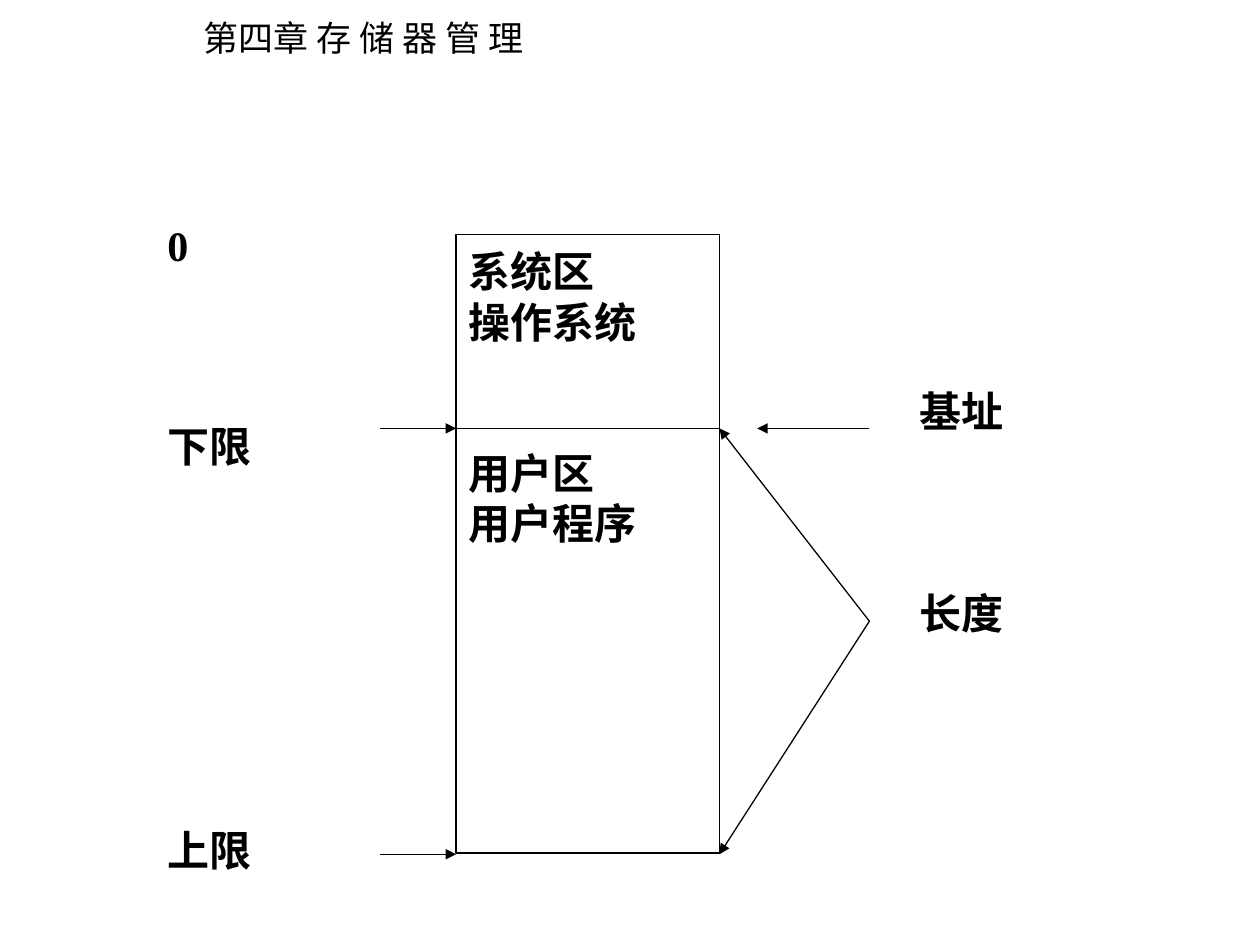
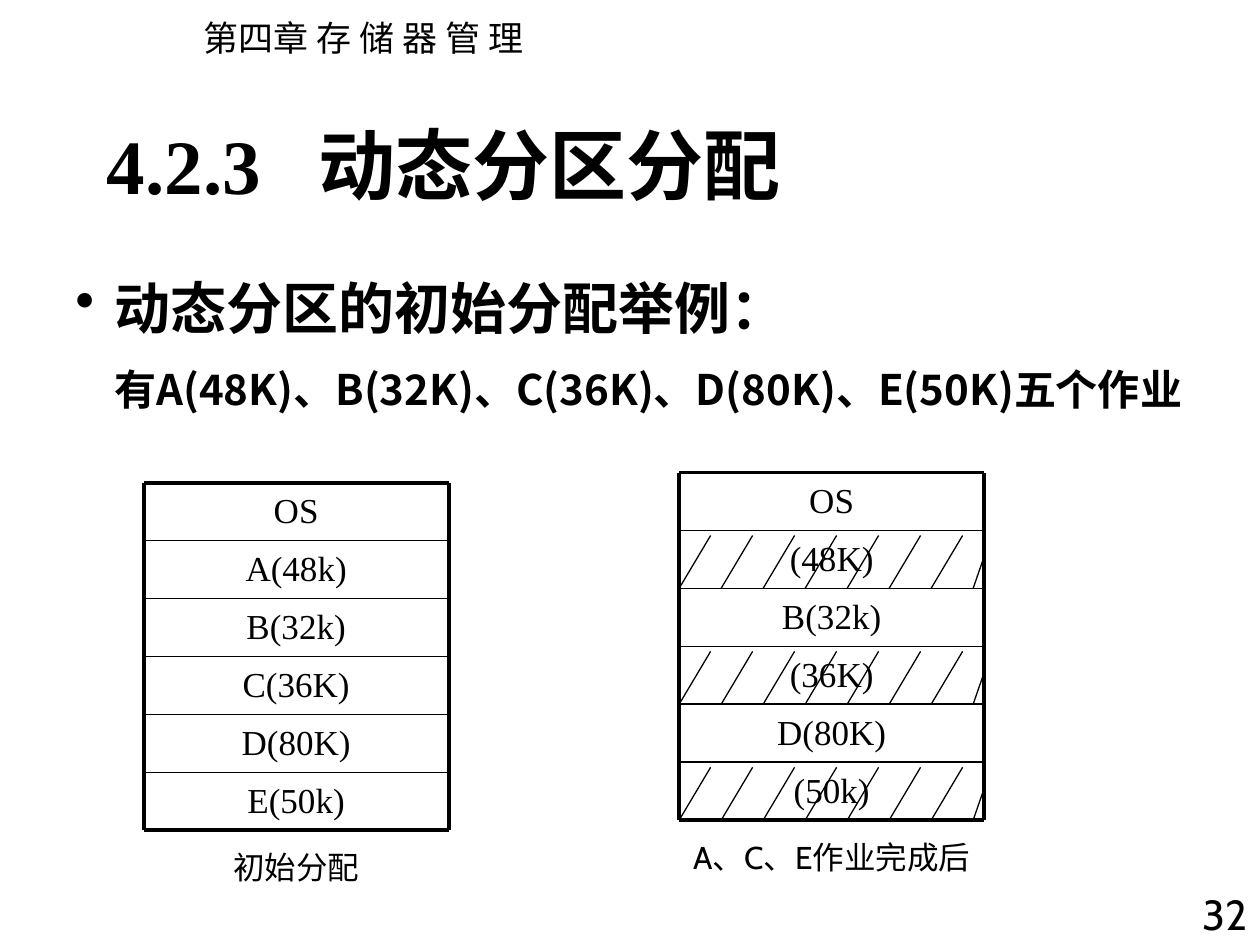
"""Build two slides on memory partitions: limit registers and dynamic allocation."""
from dataclasses import dataclass
from typing import Optional

from lxml import etree
from pptx import Presentation
from pptx import util as u
from pptx.dml.color import RGBColor
from pptx.enum import shapes, text
from pptx.oxml import ns

COLORS = {"ink": "000000", "paper": "FFFFFF"}
SERIF, SANS, CJK = "Times New Roman", "Cabin", "Noto Sans CJK SC"
LEFT, CENTER = text.PP_ALIGN.LEFT, text.PP_ALIGN.CENTER
RIGHT, JUSTIFY = text.PP_ALIGN.RIGHT, text.PP_ALIGN.JUSTIFY
ROW_HEIGHT, MAP_WIDTH = 0.46, 2.42
LABEL_LINE = 28.8


@dataclass(frozen=True)
class Style:
    """Look of a paragraph."""
    size: float
    font: str
    bold: bool = False
    align: text.PP_ALIGN = LEFT
    spacing: float = 1.2


@dataclass(frozen=True)
class Line:
    """One paragraph with its gap, bullet, indent and tab stop."""
    words: str
    before: float = 0
    bullet: Optional[str] = None
    indent: float = 0
    tab: float = 0


@dataclass(frozen=True)
class Box:
    """Place of a text area in inches."""
    left: float
    top: float
    width: float
    height: float
    inset_top: float = 0.05


@dataclass(frozen=True)
class MemoryMap:
    """Column of memory blocks with a caption; free rows are hatched."""
    left: float
    top: float
    blocks: tuple[str, ...]
    caption: str
    caption_height: float
    free_rows: tuple[int, ...] = ()


HEADER = Style(20, CJK)
TITLE = Style(44, SERIF, bold=True)
BULLET = Style(32, CJK, bold=True, spacing=1.25)
DETAIL = Style(24, CJK, bold=True, spacing=1.25)
NUMBER = Style(24, SANS, align=RIGHT)
LABEL = Style(24, SERIF, bold=True, align=JUSTIFY)
BLOCK = Style(20, SERIF, align=CENTER)
CAPTION = Style(18, SANS, align=CENTER)

MEMORY_MAPS = (
    MemoryMap(1.14, 3.83, ("OS", "A(48k)", "B(32k)", "C(36K)", "D(80K)", "E(50k)"),
              "初始分配", 0.4),
    MemoryMap(5.39, 3.75, ("OS", "(48K)", "B(32k)", "(36K)", "D(80K)", "(50k)"),
              "A、C、E作业完成后", 0.7, (1, 3, 5)),
)


def rgb(name: str) -> RGBColor:
    """Look up a named colour."""
    return RGBColor.from_string(COLORS[name])


def write_line(paragraph, line: Line, style: Style) -> None:
    """Fill a paragraph and format it."""
    paragraph.text = line.words
    properties = paragraph._p.get_or_add_pPr()
    if line.indent:
        properties.set("marL", str(u.Inches(line.indent)))
        properties.set("indent", str(u.Inches(-line.indent if line.bullet else 0)))
    if line.bullet:
        etree.SubElement(properties, ns.qn("a:buChar"), char=line.bullet)
    if line.tab:
        stops = etree.SubElement(properties, ns.qn("a:tabLst"))
        etree.SubElement(stops, ns.qn("a:tab"), pos=str(u.Inches(line.tab)), algn="l")
    paragraph.alignment = style.align
    paragraph.line_spacing = u.Pt(style.size * style.spacing)
    if line.before:
        paragraph.space_before = u.Pt(line.before)
    font = paragraph.font
    font.size, font.bold, font.name = u.Pt(style.size), style.bold, style.font
    font.color.rgb = rgb("ink")


def write_lines(shape, box: Box, lines: list[tuple[Line, Style]],
                wrap: bool = True, anchor=text.MSO_ANCHOR.TOP) -> None:
    """Put paragraphs into a shape."""
    frame = shape.text_frame
    frame.word_wrap, frame.vertical_anchor = wrap, anchor
    frame.margin_top = u.Inches(box.inset_top)
    for index, (line, style) in enumerate(lines):
        paragraph = frame.add_paragraph() if index else frame.paragraphs[0]
        write_line(paragraph, line, style)


def place(box: Box) -> tuple[int, int, int, int]:
    """Convert a box to lengths."""
    return (u.Inches(box.left), u.Inches(box.top),
            u.Inches(box.width), u.Inches(box.height))


def add_text(slide, box: Box, *lines: tuple[Line, Style], **options) -> None:
    """Add a text box."""
    write_lines(slide.shapes.add_textbox(*place(box)), box, list(lines), **options)


def add_panel(slide, box: Box, outline: str, *lines: Line) -> None:
    """Add a white rectangle holding label lines."""
    shape = slide.shapes.add_shape(shapes.MSO_SHAPE.RECTANGLE, *place(box))
    shape.shadow.inherit = False
    shape.fill.solid()
    shape.fill.fore_color.rgb = rgb("paper")
    shape.line.color.rgb = rgb(outline)
    shape.line.width = u.Pt(0.75)
    write_lines(shape, box, [(line, LABEL) for line in lines])


def add_line(slide, start: tuple[float, float], end: tuple[float, float],
             width: float = 0.75, arrow: bool = False) -> None:
    """Add a straight line, with an arrowhead at its end if wanted."""
    connector = slide.shapes.add_connector(
        shapes.MSO_CONNECTOR.STRAIGHT, *map(u.Inches, (*start, *end)))
    connector.line.color.rgb = rgb("ink")
    connector.line.width = u.Pt(width)
    if arrow:
        etree.SubElement(connector.line._get_or_add_ln(), ns.qn("a:tailEnd"), type="triangle")
    etree.SubElement(connector._element.spPr, ns.qn("a:effectLst"))


def add_slide(presentation):
    """Add a blank slide with the chapter header."""
    slide = presentation.slides.add_slide(presentation.slide_layouts[6])
    add_text(slide, Box(1.52, 0.08, 2.8, 0.44), (Line("第四章 存 储 器 管 理"), HEADER), wrap=False)
    return slide


def add_hatching(slide, left: float, top: float) -> None:
    """Hatch one free row, clipping the last stroke at the right edge."""
    bottom = top + ROW_HEIGHT
    for index in range(7):
        foot = left + index / 3
        add_line(slide, (foot + 0.25, top + 0.04), (foot, bottom))
    add_line(slide, (left + MAP_WIDTH, bottom - 0.25), (left + 7 / 3, bottom))


def add_memory_map(slide, memory: MemoryMap) -> None:
    """Draw a column of blocks, its rules, caption and hatching."""
    left, right = memory.left, memory.left + MAP_WIDTH
    count = len(memory.blocks)
    edges = [memory.top + row * ROW_HEIGHT for row in range(count + 1)]
    bottom = edges[-1]
    for block, top in zip(memory.blocks, edges):
        add_text(slide, Box(left, top, MAP_WIDTH, ROW_HEIGHT), (Line(block), BLOCK))
    for row, edge in enumerate(edges):
        add_line(slide, (left, edge), (right, edge), 2.25 if row in (0, count) else 1)
    for side in (left, right):
        add_line(slide, (side, memory.top), (side, bottom), 2.25)
    add_text(slide, Box(left, bottom + 0.09, MAP_WIDTH, memory.caption_height),
             (Line(memory.caption), CAPTION))
    for row in memory.free_rows:
        add_hatching(slide, left, edges[row])


def build_limits_slide(presentation) -> None:
    """Show memory areas with their limits, base and length."""
    slide = add_slide(presentation)
    left, right, boundary, bottom = 3.62, 5.71, 3.4, 6.78
    length_point = (6.9, 4.93)
    add_panel(slide, Box(left, 1.86, right - left, 4.91, 0.09), "ink",
              Line("系统区"), Line("操作系统"),
              Line("用户区", 2 * LABEL_LINE), Line("用户程序"))
    add_line(slide, (left, boundary), (right, boundary))
    add_panel(slide, Box(1.23, 1.25, 1.79, 5.83, 0.49), "paper",
              Line("0"), Line("下限", 3 * LABEL_LINE), Line("上限", 7 * LABEL_LINE))
    add_panel(slide, Box(7.2, 2.17, 1.49, 3.99, 0.89), "paper",
              Line("基址"), Line("长度", 3 * LABEL_LINE))
    for start, end in (
        ((3.02, boundary), (left, boundary)),
        ((3.02, bottom), (left, bottom)),
        ((6.9, boundary), (6.01, boundary)),
        (length_point, (right, boundary)),
        (length_point, (right, bottom)),
    ):
        add_line(slide, start, end, arrow=True)


def build_allocation_slide(presentation) -> None:
    """Show the first allocation and the state after three jobs end."""
    slide = add_slide(presentation)
    add_text(slide, Box(9.33, 7, 0.67, 0.56), (Line("32"), NUMBER))
    add_text(slide, Box(0.5, 2.1, 9.5, 2.25),
             (Line("动态分区的初始分配举例：", bullet="•", indent=0.31), BULLET),
             (Line("有A(48K)、B(32K)、C(36K)、D(80K)、E(50K)五个作业",
                   before=12, indent=0.31), DETAIL))
    for memory in MEMORY_MAPS:
        add_memory_map(slide, memory)
    add_text(slide, Box(0.75, 0.67, 8.5, 1.25), (Line("4.2.3\t动态分区分配", tab=1.68), TITLE),
             anchor=text.MSO_ANCHOR.MIDDLE)


def main() -> None:
    """Build and save the presentation."""
    presentation = Presentation()
    presentation.slide_width, presentation.slide_height = u.Inches(10), u.Inches(7.5)
    build_limits_slide(presentation)
    build_allocation_slide(presentation)
    presentation.save("out.pptx")


if __name__ == "__main__":
    main()
